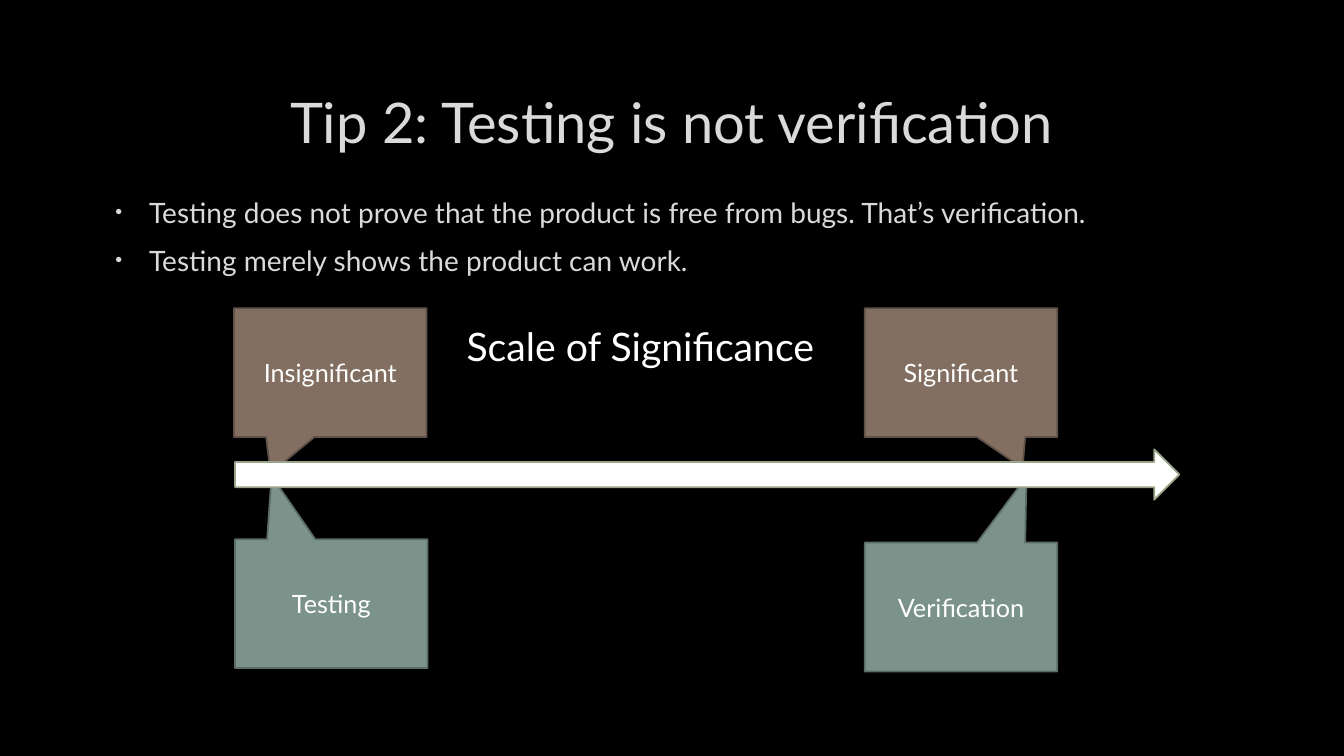
from dataclasses import dataclass

from lxml import etree
from pptx import Presentation
from pptx.dml.color import RGBColor
from pptx.enum.shapes import MSO_SHAPE
from pptx.enum.text import MSO_ANCHOR, PP_ALIGN
from pptx.oxml.ns import qn
from pptx.util import Pt

CALLOUT, ARROW = MSO_SHAPE.RECTANGULAR_CALLOUT, MSO_SHAPE.RIGHT_ARROW
TOP, MIDDLE = MSO_ANCHOR.TOP, MSO_ANCHOR.MIDDLE
LEFT, CENTER = PP_ALIGN.LEFT, PP_ALIGN.CENTER


@dataclass(frozen=True)
class Theme:
    font: str = "Lato"
    background: str = "000000"
    soft_text: str = "DADADA"
    bright_text: str = "FFFFFF"
    meaning_fill: str = "826F61"
    meaning_line: str = "605248"
    activity_fill: str = "7C938B"
    activity_line: str = "5C6D67"
    arrow_fill: str = "FFFFFF"
    arrow_line: str = "9AA489"
    title_size: int = 40
    scale_size: int = 28
    body_size: int = 20
    label_size: int = 18
    outline: float = 1.25


THEME = Theme()


def rgb(value):
    return RGBColor.from_string(value)


def write(shape, *lines, size, color, align=LEFT, anchor=TOP):
    """Fill the shape with one paragraph per line and return the paragraphs."""
    frame = shape.text_frame
    frame.word_wrap = True
    frame.vertical_anchor = anchor
    frame.text = "\n".join(lines)
    for paragraph in frame.paragraphs:
        paragraph.alignment = align
        font = paragraph.runs[0].font
        font.name, font.size = THEME.font, Pt(size)
        font.color.rgb = rgb(color)
    return frame.paragraphs


def add_text(slide, box, *lines, **text_format):
    textbox = slide.shapes.add_textbox(*map(Pt, box))
    return write(textbox, *lines, **text_format)


def add_bullet(paragraph):
    paragraph.space_before, paragraph.space_after = Pt(4), Pt(6)
    properties = paragraph._p.get_or_add_pPr()
    properties.set("marL", str(Pt(27.4)))
    properties.set("indent", str(Pt(-24)))
    bullet_color = etree.SubElement(properties, qn("a:buClr"))
    etree.SubElement(bullet_color, qn("a:srgbClr"), val=THEME.soft_text)
    etree.SubElement(properties, qn("a:buSzPct"), val="70000")
    etree.SubElement(properties, qn("a:buFont"), typeface="Arial")
    etree.SubElement(properties, qn("a:buChar"), char="•")


def add_block(slide, kind, box, fill, line):
    block = slide.shapes.add_shape(kind, *map(Pt, box))
    block.shadow.inherit = False
    block.fill.solid()
    block.fill.fore_color.rgb = rgb(fill)
    block.line.color.rgb = rgb(line)
    block.line.width = Pt(THEME.outline)
    return block


def add_callout(slide, box, label, tip, fill, line):
    """Tip is the pointer's offset from the centre, as shares of the box."""
    callout = add_block(slide, CALLOUT, box, fill, line)
    for index, offset in enumerate(tip):
        callout.adjustments[index] = offset
    write(callout, label, size=THEME.label_size, color=THEME.bright_text,
          align=CENTER, anchor=MIDDLE)


def add_heading(slide, box, title):
    add_text(slide, box, title, size=THEME.title_size, color=THEME.soft_text,
             align=CENTER, anchor=MIDDLE)


def add_points(slide, box, *points):
    for paragraph in add_text(slide, box, *points, size=THEME.body_size,
                              color=THEME.soft_text):
        add_bullet(paragraph)


def add_significance_scale(slide, box):
    left, top, width, height = box
    callout_width, callout_height, arrow_height = 137.5, 92, 36
    right = left + 450.5
    lower = top + 165

    add_text(slide, (left + 159, top + 6.5, 283, 41), "Scale of Significance",
             size=THEME.scale_size, color=THEME.bright_text)

    meaning = THEME.meaning_fill, THEME.meaning_line
    activity = THEME.activity_fill, THEME.activity_line
    for label, x, y, tip, colors in (
        ("Insignificant", left, top, (-0.31, 0.78), meaning),
        ("Significant", right, top, (0.32, 0.74), meaning),
        ("Testing", left + 0.7, lower, (-0.31, -0.99), activity),
        ("Verification", right, lower + 2.4, (0.34, -1.01), activity),
    ):
        add_callout(slide, (x, y, callout_width, callout_height), label, tip,
                    *colors)

    arrow_box = left + 0.7, top + 100.8, width - 0.7, arrow_height
    add_block(slide, ARROW, arrow_box, THEME.arrow_fill, THEME.arrow_line)


def build_tip_slide(deck):
    slide = deck.slides.add_slide(deck.slide_layouts[6])
    slide.background.fill.solid()
    slide.background.fill.fore_color.rgb = rgb(THEME.background)
    margin, content_width = 72, 815
    add_heading(slide, (margin, 48.3, content_width, 76.3),
                "Tip 2: Testing is not verification")
    add_points(
        slide, (margin, 136, content_width, 320),
        "Testing does not prove that the product is free from bugs. "
        "That’s verification.",
        "Testing merely shows the product can work.",
    )
    add_significance_scale(slide, (167.2, 220.2, 675.2, 259.4))


def main():
    deck = Presentation()
    deck.slide_width, deck.slide_height = Pt(960), Pt(540)
    build_tip_slide(deck)
    deck.save("out.pptx")


if __name__ == "__main__":
    main()
